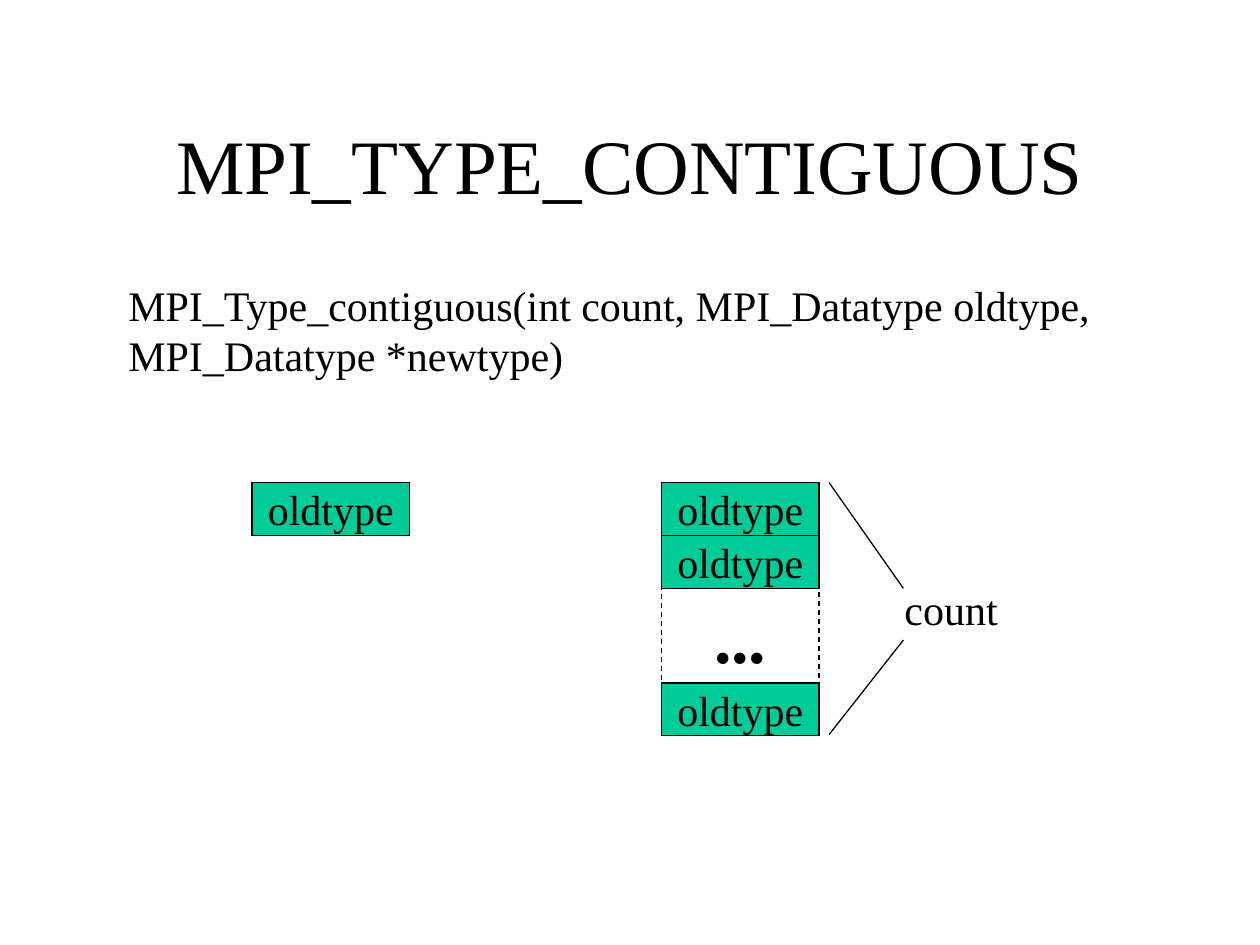
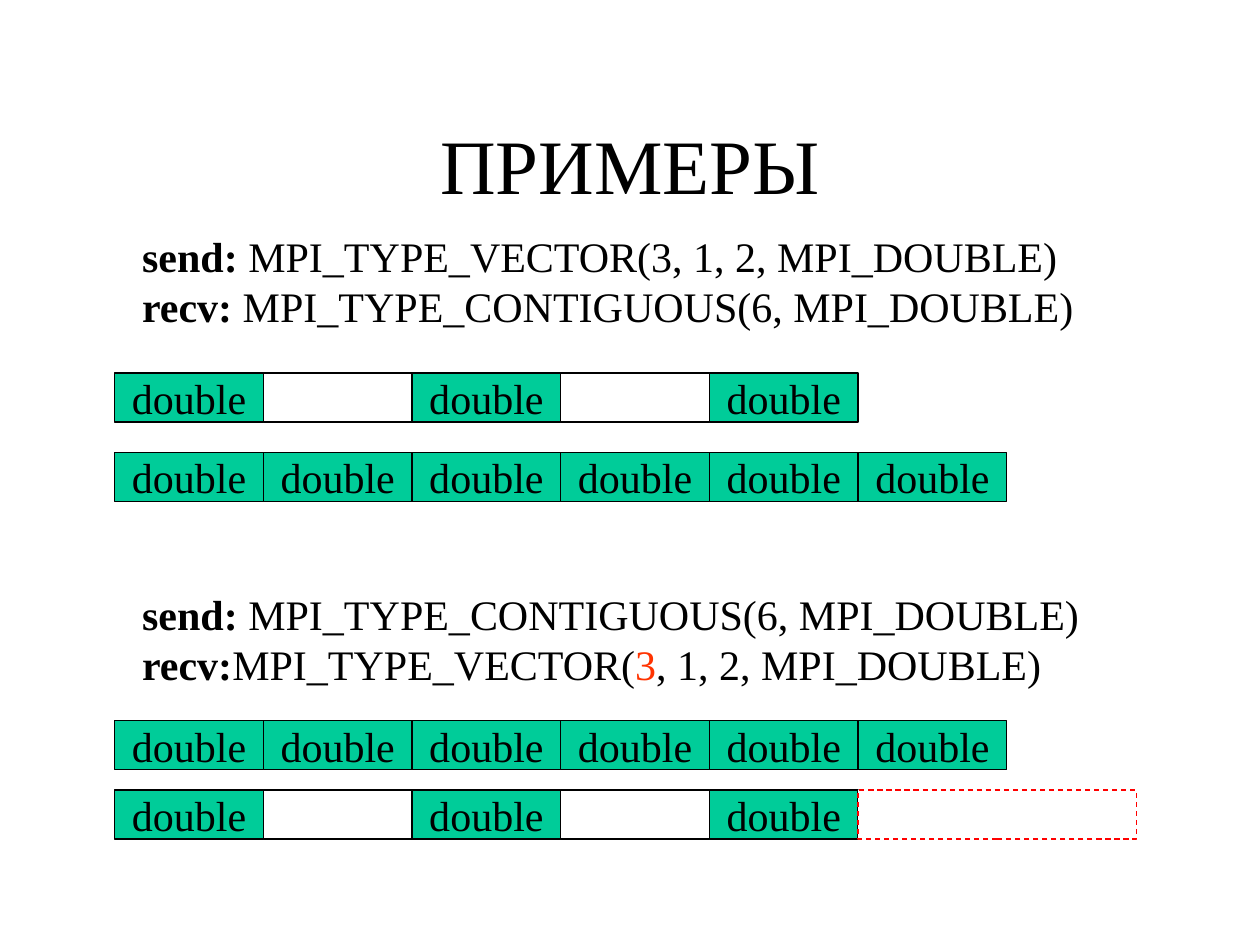
import pptx
import pptx.dml.color
import pptx.enum.dml
import pptx.enum.shapes
import pptx.enum.text
import pptx.oxml.ns
import pptx.util
from lxml import etree

Inches = pptx.util.Inches
Pt = pptx.util.Pt
ALIGN = pptx.enum.text.PP_ALIGN
ANCHOR = pptx.enum.text.MSO_ANCHOR

# Shared look
FONT = "Times New Roman"
BLACK, WHITE, GREEN = "000000", "FFFFFF", "00CC99"
RED, ORANGE = "FF0000", "FF3300"
BODY = {"name": FONT, "size": Pt(24), "bold": False}
TITLE = {**BODY, "size": Pt(44)}
DOTS = {**BODY, "size": Pt(40), "bold": True}
LINE_WIDTH = Pt(0.75)

# Memory rows on the examples slide
ROW_LEFT, CELL_W, CELL_H = 0.91, 1.18, 0.39
VECTOR = ["double", "", "double", "", "double"]
CONTIGUOUS = ["double"] * 6


def rgb(hex_color):
    return pptx.dml.color.RGBColor.from_string(hex_color)


def add_run(p, text, fmt=BODY, color=BLACK, bold=None):
    r = p.add_run()
    r.text = text
    for name, value in fmt.items():
        setattr(r.font, name, value)
    if bold is not None:
        r.font.bold = bold
    r.font.color.rgb = rgb(color)


def add_text(s, left, top, width, height, lines, fmt=BODY,
             align=ALIGN.LEFT, anchor=ANCHOR.TOP):
    """Each line is a list of (text, run options) pairs."""
    tf = s.shapes.add_textbox(Inches(left), Inches(top),
                              Inches(width), Inches(height)).text_frame
    tf.word_wrap = True
    tf.vertical_anchor = anchor
    p = tf.paragraphs[0]
    p.alignment = align
    for i, line in enumerate(lines):
        if i:
            p.add_line_break()
        for text, options in line:
            add_run(p, text, fmt, **options)


def add_title(s, text):
    add_text(s, 0.75, 0.67, 8.5, 1.25, [[(text, {})]], TITLE,
             ALIGN.CENTER, ANCHOR.MIDDLE)


def add_box(s, left, top, width, height, text="", fill=None, line=BLACK,
            dashed=False, fmt=BODY):
    sp = s.shapes.add_shape(pptx.enum.shapes.MSO_SHAPE.RECTANGLE, Inches(left),
                            Inches(top), Inches(width), Inches(height))
    sp.shadow.inherit = False
    if fill:
        sp.fill.solid()
        sp.fill.fore_color.rgb = rgb(fill)
    else:
        sp.fill.background()
    sp.line.color.rgb = rgb(line)
    sp.line.width = LINE_WIDTH
    if dashed:
        sp.line.dash_style = pptx.enum.dml.MSO_LINE.DASH
    if text:
        tf = sp.text_frame
        tf.word_wrap = False
        tf.vertical_anchor = ANCHOR.MIDDLE
        p = tf.paragraphs[0]
        p.alignment = ALIGN.CENTER
        add_run(p, text, fmt)


def add_line(s, x1, y1, x2, y2):
    cn = s.shapes.add_connector(pptx.enum.shapes.MSO_CONNECTOR.STRAIGHT,
                                Inches(x1), Inches(y1), Inches(x2), Inches(y2))
    cn.line.color.rgb = rgb(BLACK)
    cn.line.width = LINE_WIDTH
    etree.SubElement(cn._element.spPr, pptx.oxml.ns.qn("a:effectLst"))


def add_row(s, top, cells):
    for i, text in enumerate(cells):
        add_box(s, ROW_LEFT + i * CELL_W, top, CELL_W, CELL_H, text,
                GREEN if text else None)


def add_calls(s, top, send, recv):
    add_text(s, 1.03, top, 8, 0.9, [send, recv])


def contiguous_slide(s):
    add_title(s, "MPI_TYPE_CONTIGUOUS")
    add_text(s, 0.92, 2.17, 8.5, 0.9, [[(
        "MPI_Type_contiguous(int count, MPI_Datatype oldtype, "
        "MPI_Datatype *newtype)", {})]])
    # One old type, then the stack that forms the new type
    for left, top in [(2, 3.83), (5.25, 3.83), (5.25, 4.25), (5.25, 5.42)]:
        add_box(s, left, top, 1.25, 0.42, "oldtype", GREEN)
    add_box(s, 5.25, 4.67, 1.25, 0.75, "...", dashed=True, fmt=DOTS)
    # Count bracket
    add_line(s, 6.58, 3.83, 7.17, 4.67)
    add_line(s, 6.58, 5.83, 7.17, 5.08)
    add_text(s, 7.08, 4.58, 1.17, 0.5, [[("count", {})]])


def examples_slide(s):
    bold = {"bold": True}
    add_title(s, "ПРИМЕРЫ")
    # Vector sent, contiguous received
    add_calls(s, 1.78,
              [("send: ", bold), ("MPI_TYPE_VECTOR(3, 1, 2, MPI_DOUBLE)", {})],
              [("recv:", bold), (" MPI_TYPE_CONTIGUOUS(6, MPI_DOUBLE)", {})])
    add_row(s, 2.96, VECTOR)
    add_row(s, 3.59, CONTIGUOUS)
    # Contiguous sent, vector received
    add_calls(s, 4.62,
              [("send: ", bold), ("MPI_TYPE_CONTIGUOUS(6, MPI_DOUBLE)", {})],
              [("recv:", bold), ("MPI_TYPE_VECTOR(", {}),
               ("3", {"color": ORANGE}), (", 1, 2, MPI_DOUBLE)", {})])
    add_row(s, 6.27, VECTOR)
    add_row(s, 5.72, CONTIGUOUS)
    # Missing space after the vector
    add_box(s, ROW_LEFT + len(VECTOR) * CELL_W, 6.27, 2.21, CELL_H,
            fill=WHITE, line=RED, dashed=True)


def main():
    prs = pptx.Presentation()
    prs.slide_width, prs.slide_height = Inches(10), Inches(7.5)
    for build in (contiguous_slide, examples_slide):
        build(prs.slides.add_slide(prs.slide_layouts[6]))
    prs.save("out.pptx")


if __name__ == "__main__":
    main()
